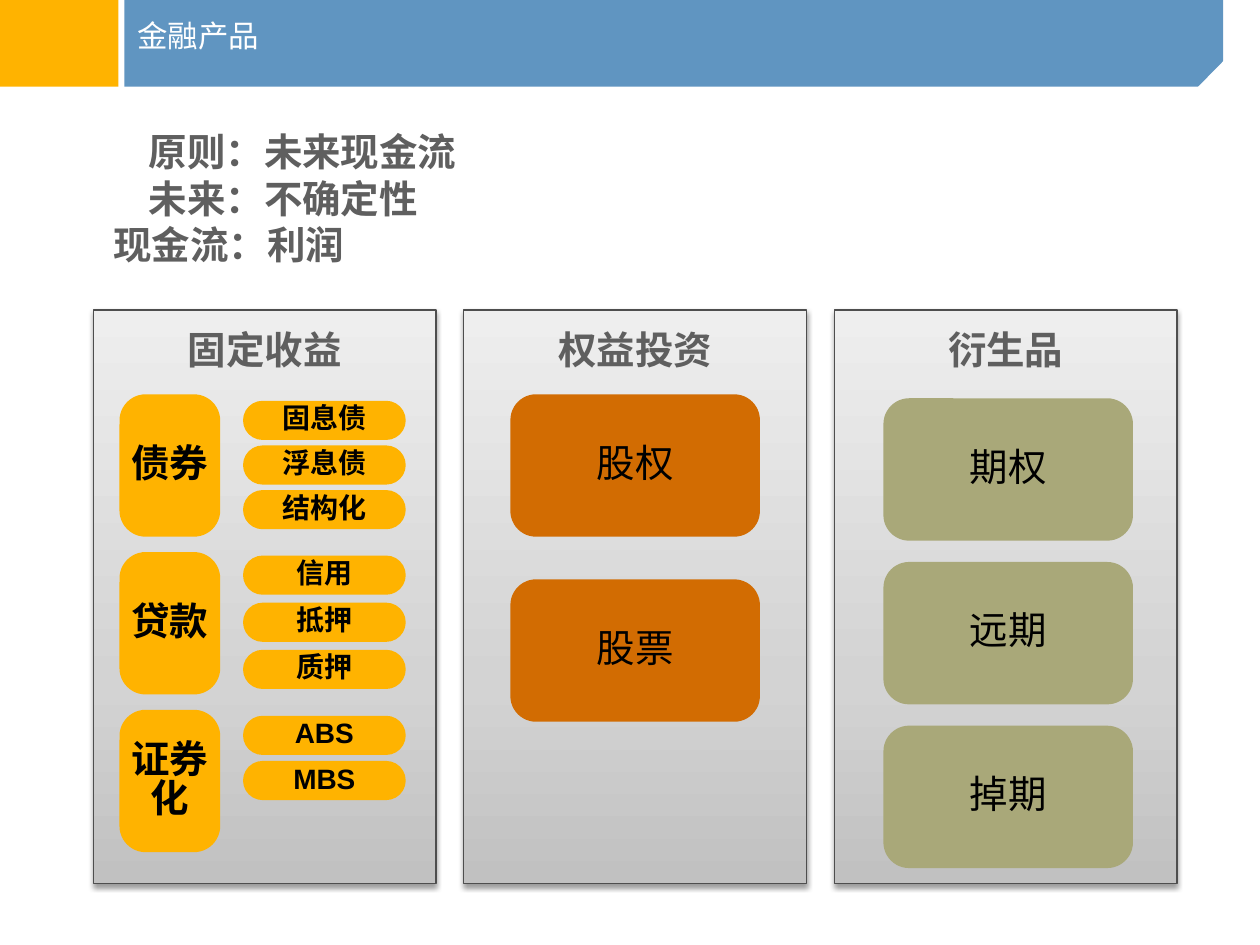
"""Build the financial products slide."""
from lxml import etree
from pptx import Presentation
from pptx.dml.color import RGBColor
from pptx.enum.shapes import MSO_SHAPE
from pptx.enum.text import MSO_ANCHOR, PP_ALIGN
from pptx.oxml import parse_xml
from pptx.oxml.ns import qn
from pptx.util import Cm, Pt

RECT, ROUND = MSO_SHAPE.RECTANGLE, MSO_SHAPE.ROUNDED_RECTANGLE
TOP, MIDDLE = MSO_ANCHOR.TOP, MSO_ANCHOR.MIDDLE
LEFT, CENTER = PP_ALIGN.LEFT, PP_ALIGN.CENTER
NS = 'xmlns:a="http://schemas.openxmlformats.org/drawingml/2006/main"'
HEAVY, PLAIN = "Arial", "Noto Sans CJK SC"

COLORS = {
    "blue": "6095C1", "gold": "FFB300", "rust": "D26C02", "olive": "A9A879",
    "white": "FFFFFF", "black": "000000", "gray": "5F5F5F", "edge": "4E4E4E",
}
FADE = [(0, "C1C1C1"), (35, "D3D3D3"), (100, "EEEEEE")]

TITLE = "金融产品"
POINTS = [("原则：未来现金流", 0.71), ("未来：不确定性", 0.71), ("现金流：利润", 0)]
PANELS = [("固定收益", 3.4), ("权益投资", 3.4), ("衍生品", 2.62)]
BONDS = [
    ("债券", 8.08, 0.9, ["固息债", "浮息债", "结构化"]),
    ("贷款", 11.2, 0.95, ["信用", "抵押", "质押"]),
    ("证券化", 14.43, 0.91, ["ABS", "MBS"]),
]
CARDS = [
    ("rust", 10.29, 7.95, 3.73, ["股权", "股票"]),
    ("olive", 17.81, 8.03, 3.3, ["期权", "远期", "掉期"]),
]


def rgb(name):
    return RGBColor.from_string(COLORS[name])


def write(para, text, size, font, color, bold=False, align=CENTER, space=0.85):
    para.alignment = align
    if space:
        para.line_spacing = space
    run = para.add_run()
    run.text = text
    face = run.font
    face.size, face.name, face.bold = Pt(size), font, bold
    face.color.rgb = rgb(color)
    east = etree.SubElement(run._r.get_or_add_rPr(), qn("a:ea"))
    east.set("typeface", font)


def set_frame(shape, pad, anchor, wrap=True):
    frame = shape.text_frame
    frame.margin_left = frame.margin_right = Cm(pad)
    frame.margin_top = frame.margin_bottom = Cm(pad)
    frame.vertical_anchor, frame.word_wrap = anchor, wrap
    return frame


def add_box(shapes, kind, box, color):
    shape = shapes.add_shape(kind, *map(Cm, box))
    shape.shadow.inherit = False
    shape.fill.solid()
    shape.fill.fore_color.rgb = rgb(color)
    shape.line.fill.background()
    return shape


def add_tile(shapes, text, box, color, curve, size, font):
    shape = add_box(shapes, ROUND, box, color)
    shape.adjustments[0] = curve
    frame = set_frame(shape, 0, MIDDLE)
    write(frame.paragraphs[0], text, size, font, "black", font == HEAVY)


def add_panel(shapes, text, left, width):
    group = shapes.add_group_shape().shapes
    panel = group.add_shape(RECT, Cm(left), Cm(6.25), Cm(6.91), Cm(11.56))
    panel.line.color.rgb = rgb("edge")
    panel.line.width = Pt(0.75)
    props = panel._element.spPr
    stops = "".join(
        f'<a:gs pos="{pos * 1000}"><a:srgbClr val="{tone}"/></a:gs>' for pos, tone in FADE)
    props.find(qn("a:ln")).addprevious(parse_xml(
        f'<a:gradFill {NS} rotWithShape="1"><a:gsLst>{stops}</a:gsLst>'
        '<a:lin ang="16200000" scaled="0"/></a:gradFill>'))
    props.append(parse_xml(
        f'<a:effectLst {NS}><a:outerShdw blurRad="{Pt(3)}" dist="{Pt(1.6)}" '
        'dir="5400000" rotWithShape="0"><a:srgbClr val="000000">'
        '<a:alpha val="38000"/></a:srgbClr></a:outerShdw></a:effectLst>'))
    head = group.add_textbox(Cm(left + (6.91 - width) / 2), Cm(6.58), Cm(width), Cm(1.32))
    frame = set_frame(head, 0.13, TOP, False)
    write(frame.paragraphs[0], text, 22, HEAVY, "gray", True)


def add_header(shapes):
    add_box(shapes, RECT, (2.51, 0, 22.15, 1.75), "blue")
    path = shapes.build_freeform(Cm(24.97), Cm(2.08))
    path.add_line_segments([(Cm(23.83), Cm(2.08)), (Cm(24.97), Cm(0.92))], close=True)
    notch = path.convert_to_shape()
    notch.shadow.inherit = False
    notch.fill.solid()
    notch.fill.fore_color.rgb = rgb("white")
    notch.line.fill.background()
    add_box(shapes, RECT, (0, 0, 2.39, 1.75), "gold")
    title = shapes.add_textbox(Cm(2.77), Cm(0.46), Cm(21.08), Cm(0.79))
    frame = set_frame(title, 0, TOP)
    write(frame.paragraphs[0], TITLE, 17.4, PLAIN, "white", align=LEFT)


def add_points(shapes):
    frame = set_frame(shapes.add_textbox(Cm(2.16), Cm(2.46), Cm(9.07), Cm(3.48)), 0.13, TOP)
    for i, (text, indent) in enumerate(POINTS):
        para = frame.add_paragraph() if i else frame.paragraphs[0]
        para._p.get_or_add_pPr().set("marL", str(Cm(indent)))
        write(para, text, 22, HEAVY, "gray", True, LEFT, None)


def main():
    deck = Presentation()
    deck.slide_width, deck.slide_height = Cm(25.4), Cm(19.05)
    shapes = deck.slides.add_slide(deck.slide_layouts[6]).shapes
    add_header(shapes)
    add_points(shapes)
    for i, (text, width) in enumerate(PANELS):
        add_panel(shapes, text, 1.88 + 7.47 * i, width)
    for i, (text, top, step, kinds) in enumerate(BONDS):
        add_tile(shapes, text, (2.41, 7.95 + 3.18 * i, 2.03, 2.87), "gold", 0.26, 22, HEAVY)
        for j, kind in enumerate(kinds):
            add_tile(shapes, kind, (4.9, top + step * j, 3.28, 0.79), "gold", 0.5, 16, HEAVY)
    for color, left, top, step, names in CARDS:
        for i, name in enumerate(names):
            add_tile(shapes, name, (left, top + step * i, 5.03, 2.87), color, 0.18, 22, PLAIN)
    deck.save("out.pptx")


if __name__ == "__main__":
    main()
